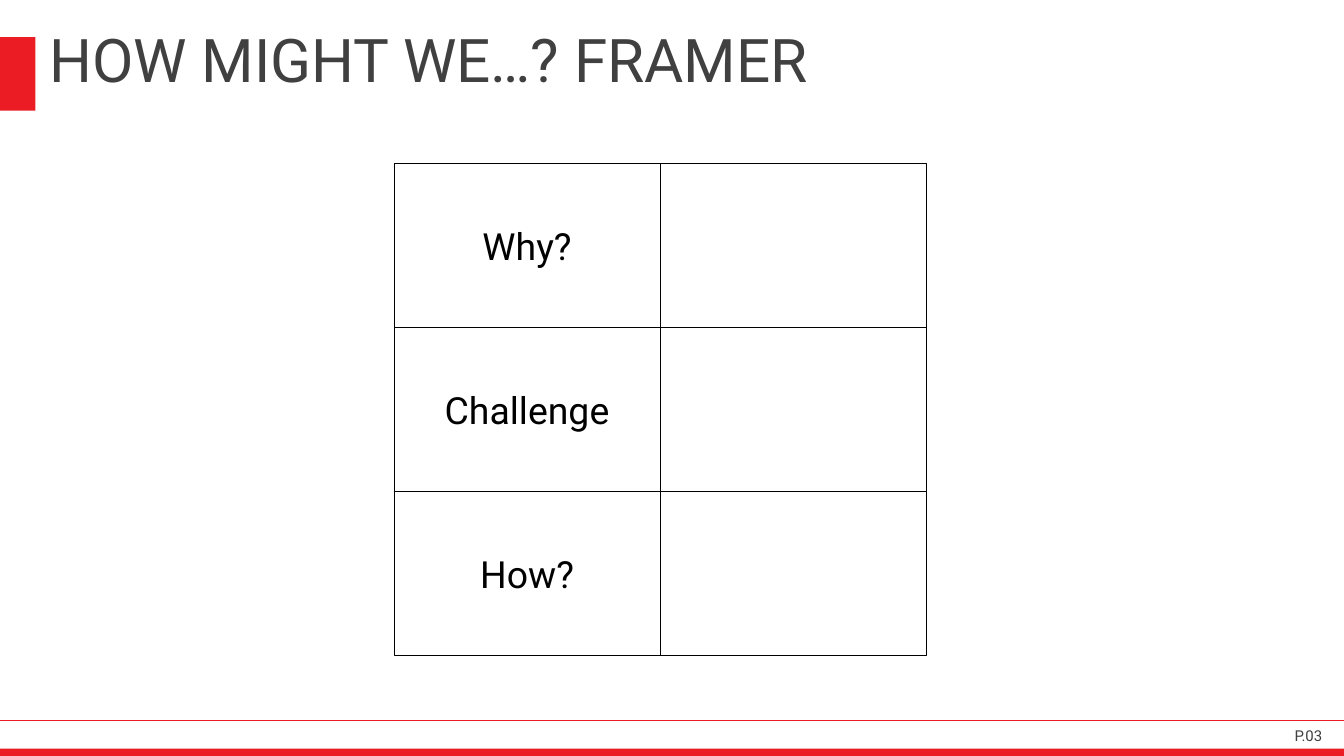
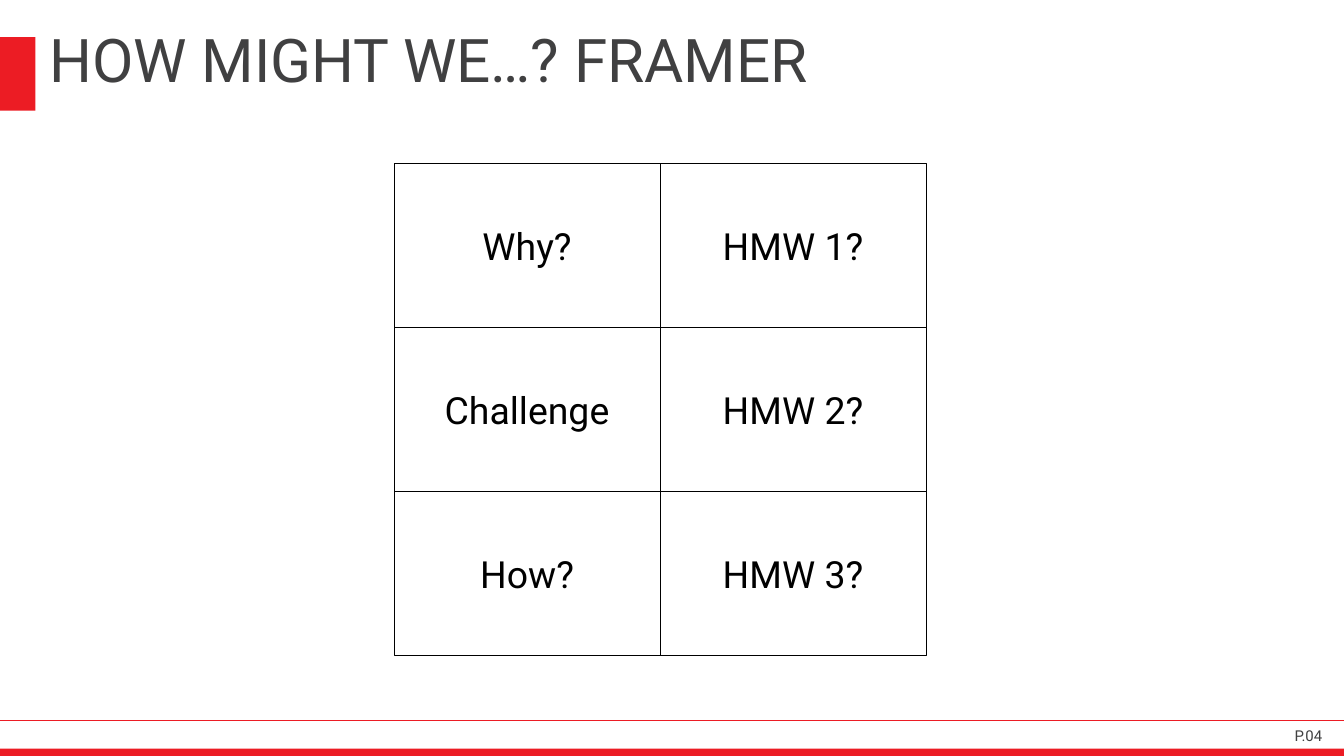
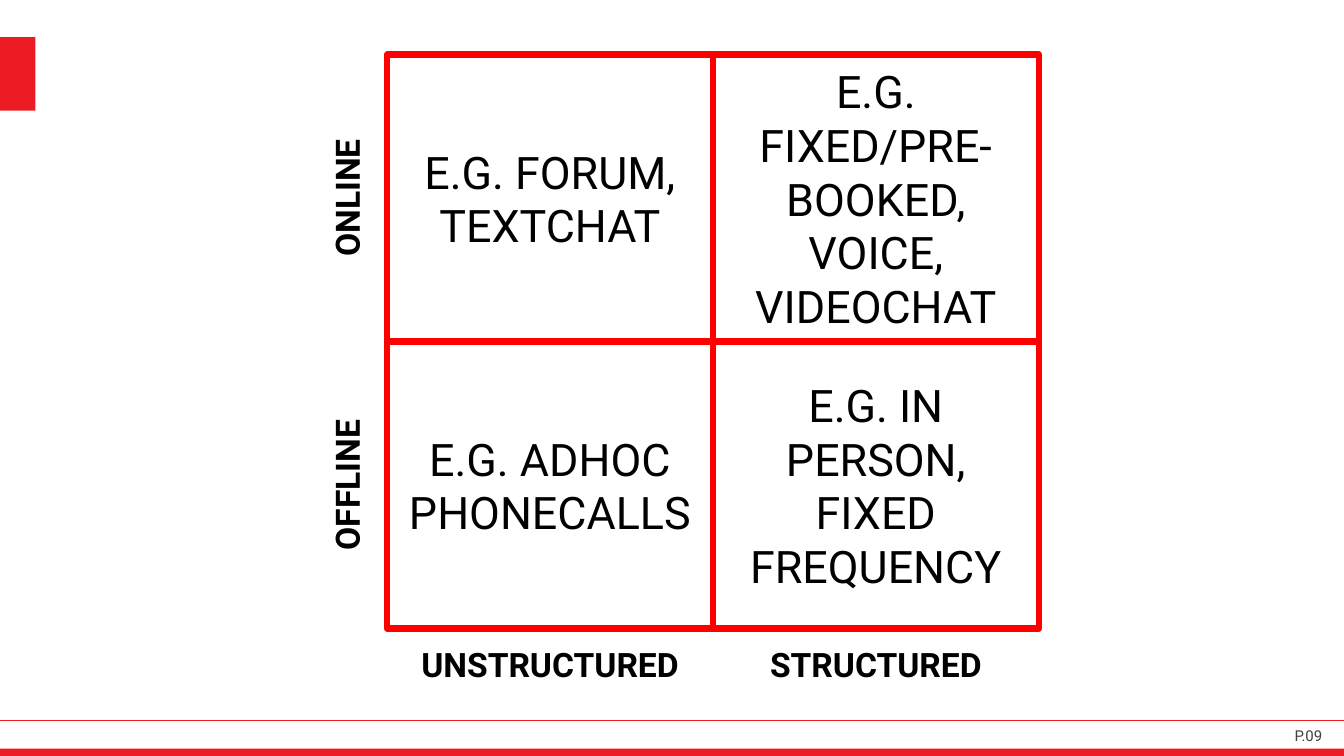
from dataclasses import dataclass

from lxml import etree
from pptx import Presentation
from pptx.dml.color import RGBColor
from pptx.enum.shapes import MSO_CONNECTOR, MSO_SHAPE
from pptx.enum.text import MSO_ANCHOR, PP_ALIGN
from pptx.oxml.ns import qn
from pptx.util import Pt

RECT = MSO_SHAPE.RECTANGLE
STRAIGHT = MSO_CONNECTOR.STRAIGHT
MIDDLE, BOTTOM = MSO_ANCHOR.MIDDLE, MSO_ANCHOR.BOTTOM
LEFT, CENTER, RIGHT = PP_ALIGN.LEFT, PP_ALIGN.CENTER, PP_ALIGN.RIGHT


@dataclass(frozen=True)
class Theme:
    font: str = "Roboto"
    brand: RGBColor = RGBColor(0xEC, 0x1C, 0x24)
    grid: RGBColor = RGBColor(0xFF, 0x00, 0x00)
    grey: RGBColor = RGBColor(0x40, 0x40, 0x41)
    black: RGBColor = RGBColor(0x00, 0x00, 0x00)
    title: float = 43
    quadrant: float = 32
    framer: float = 26.7
    axis: float = 24
    page: float = 10.7


THEME = Theme()
WIDTH, HEIGHT = 960, 540


def write(s, text, size, color=THEME.black, align=CENTER, anchor=MIDDLE, bold=False):
    tf = s.text_frame
    tf.word_wrap = True
    tf.vertical_anchor = anchor
    p = tf.paragraphs[0]
    p.alignment = align
    r = p.add_run()
    r.text = text
    r.font.name = THEME.font
    r.font.size = Pt(size)
    r.font.bold = bold
    r.font.color.rgb = color
    return tf


def add_text(sp, box, text, size, **style):
    return write(sp.add_textbox(*map(Pt, box)), text, size, **style)


def add_bar(sp, box):
    s = sp.add_shape(RECT, *map(Pt, box))
    s.shadow.inherit = False
    s.fill.solid()
    s.fill.fore_color.rgb = THEME.brand
    s.line.fill.background()


def add_grid(sp, left, top, width, height, rows, size, color, weight):
    """Outlined cells that touch, one for each text in rows."""
    for i, row in enumerate(rows):
        for j, text in enumerate(row):
            box = (left + j * width, top + i * height, width, height)
            s = sp.add_shape(RECT, *map(Pt, box))
            s.shadow.inherit = False
            s.fill.background()
            s.line.color.rgb = color
            s.line.width = Pt(weight)
            if text:
                write(s, text, size)


def add_slide(prs, page):
    """Blank slide with the shared marker, footer and page number."""
    sp = prs.slides.add_slide(prs.slide_layouts[6]).shapes
    add_bar(sp, (0, 26.5, 25.4, 52.5))
    rule = sp.add_connector(STRAIGHT, Pt(0), Pt(514.6), Pt(WIDTH), Pt(514.6))
    rule.line.color.rgb = THEME.brand
    rule.line.width = Pt(1)
    etree.SubElement(rule._element.spPr, qn("a:effectLst"))
    add_bar(sp, (0, 534.7, WIDTH, 5.3))
    tf = add_text(sp, (895.5, 508.5, 49, 34), page, THEME.page,
                  color=THEME.grey, align=RIGHT)
    tf.margin_left = tf.margin_right = tf.margin_top = tf.margin_bottom = 0
    return sp


def framer_slide(prs, page, answers):
    sp = add_slide(prs, page)
    add_text(sp, (28, 21, 911.5, 50.4), "HOW MIGHT WE…? FRAMER", THEME.title,
             color=THEME.grey, align=LEFT, anchor=BOTTOM)
    rows = zip(("Why?", "Challenge", "How?"), answers)
    add_grid(sp, 281.5, 117, 190, 117, rows, THEME.framer, THEME.black, 0.5)


def channels_slide(prs, page):
    sp = add_slide(prs, page)
    left, top, width, height = 276.5, 39, 232.75, 205
    rows = (
        ("E.G. FORUM, TEXTCHAT", "E.G. FIXED/PRE-BOOKED, VOICE, VIDEOCHAT"),
        ("E.G. ADHOC PHONECALLS", "E.G. IN PERSON, FIXED FREQUENCY"),
    )
    add_grid(sp, left, top, width, height, rows, THEME.quadrant, THEME.grid, 4.5)

    # Row labels read upwards, left of the grid
    for i, label in enumerate(("ONLINE", "OFFLINE")):
        tf = add_text(sp, (left - 58, top + i * height, 58, height), label,
                      THEME.axis, bold=True)
        tf._txBody.bodyPr.set("vert", "vert270")

    # Column labels below the grid
    for j, label in enumerate(("UNSTRUCTURED", "STRUCTURED")):
        add_text(sp, (left + j * width, top + 2 * height, width, 51), label,
                 THEME.axis, bold=True)


def main():
    prs = Presentation()
    prs.slide_width, prs.slide_height = Pt(WIDTH), Pt(HEIGHT)
    framer_slide(prs, "P.03", ("", "", ""))
    framer_slide(prs, "P.04", ("HMW 1?", "HMW 2?", "HMW 3?"))
    channels_slide(prs, "P.09")
    prs.save("out.pptx")


if __name__ == "__main__":
    main()
